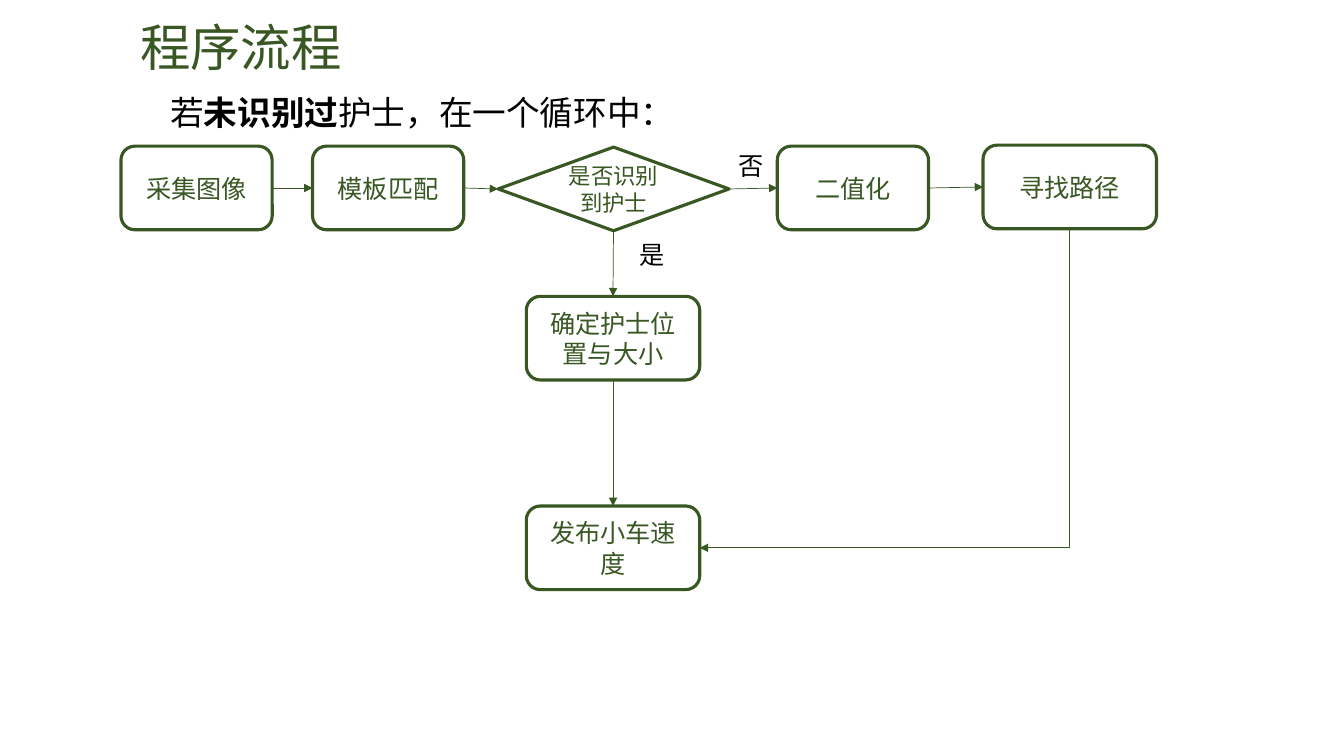
from dataclasses import dataclass

from lxml.etree import SubElement
from pptx import Presentation
from pptx.dml.color import RGBColor
from pptx.enum.shapes import MSO_CONNECTOR, MSO_SHAPE
from pptx.enum.text import MSO_ANCHOR, MSO_AUTO_SIZE, PP_ALIGN
from pptx.oxml.ns import qn
from pptx.shapes.autoshape import Shape
from pptx.shapes.connector import Connector
from pptx.slide import Slide
from pptx.text.text import _Paragraph
from pptx.util import Inches, Pt


@dataclass(frozen=True)
class Theme:
    font: str = "Noto Sans CJK SC"
    green: RGBColor = RGBColor(0x38, 0x57, 0x23)
    black: RGBColor = RGBColor(0, 0, 0)
    title: int = 36
    lead: int = 24
    body: int = 18
    small: int = 16
    edge: float = 2.25
    thin: float = 0.5


THEME = Theme()
TALL = 0.83
BOTTOM, LEFT, RIGHT, TOP = 2, 1, 3, 0


@dataclass(frozen=True)
class Step:
    key: str
    text: str
    left: float
    top: float
    width: float
    size: int = THEME.body
    form: MSO_SHAPE = MSO_SHAPE.ROUNDED_RECTANGLE


@dataclass(frozen=True)
class Link:
    start: str
    out: int
    end: str
    into: int


@dataclass(frozen=True)
class Run:
    text: str
    bold: bool = False


@dataclass(frozen=True)
class Label:
    runs: tuple[Run, ...]
    left: float
    top: float
    width: float
    height: float
    size: int = THEME.body
    color: RGBColor = THEME.black


STEPS = (
    Step("grab", "采集图像", 1.2, 1.45, 1.5),
    Step("match", "模板匹配", 3.1, 1.45, 1.5),
    Step("check", "是否识别到护士", 4.94, 1.46, 2.29, THEME.small,
         MSO_SHAPE.FLOWCHART_DECISION),
    Step("split", "二值化", 7.71, 1.45, 1.5),
    Step("route", "寻找路径", 9.75, 1.44, 1.72),
    Step("place", "确定护士位置与大小", 5.22, 2.94, 1.72),
    Step("speed", "发布小车速度", 5.22, 5.02, 1.72),
)
LINKS = (
    Link("grab", RIGHT, "match", LEFT),
    Link("match", RIGHT, "check", LEFT),
    Link("check", RIGHT, "split", LEFT),
    Link("split", RIGHT, "route", LEFT),
    Link("check", BOTTOM, "place", TOP),
    Link("place", BOTTOM, "speed", TOP),
)
LABELS = (
    Label((Run("程序流程"),), 1.29, 0.11, 2.22, 0.71, THEME.title, THEME.green),
    Label((Run("若"), Run("未识别过", True), Run("护士，在一个循环中：")),
          1.59, 0.86, 5.25, 0.5, THEME.lead),
    Label((Run("是"),), 6.24, 2.33, 0.45, 0.4),
    Label((Run("否"),), 7.23, 1.44, 0.45, 0.4),
)


def add_run(para: _Paragraph, part: Run, size: int, color: RGBColor) -> None:
    run = para.add_run()
    run.text = part.text
    font = run.font
    font.size, font.bold, font.name = Pt(size), part.bold, THEME.font
    font.color.rgb = color
    # East Asian typeface
    SubElement(run._r.get_or_add_rPr(), qn("a:ea"), typeface=THEME.font)


def add_step(slide: Slide, step: Step) -> Shape:
    box = slide.shapes.add_shape(step.form, Inches(step.left), Inches(step.top),
                                 Inches(step.width), Inches(TALL))
    box.shadow.inherit = False
    box.fill.background()
    box.line.color.rgb = THEME.green
    box.line.width = Pt(THEME.edge)
    frame = box.text_frame
    frame.word_wrap = True
    frame.vertical_anchor = MSO_ANCHOR.MIDDLE
    para = frame.paragraphs[0]
    para.alignment = PP_ALIGN.CENTER
    add_run(para, Run(step.text), step.size, THEME.green)
    return box


def add_label(slide: Slide, label: Label) -> None:
    box = slide.shapes.add_textbox(Inches(label.left), Inches(label.top),
                                   Inches(label.width), Inches(label.height))
    frame = box.text_frame
    frame.word_wrap = False
    frame.auto_size = MSO_AUTO_SIZE.SHAPE_TO_FIT_TEXT
    for part in label.runs:
        add_run(frame.paragraphs[0], part, label.size, label.color)


def style_line(line: Connector) -> None:
    line.line.color.rgb = THEME.green
    line.line.width = Pt(THEME.thin)
    SubElement(line.line._get_or_add_ln(), qn("a:tailEnd"), type="triangle")
    SubElement(line._element.spPr, qn("a:effectLst"))


def add_link(slide: Slide, link: Link, boxes: dict[str, Shape]) -> None:
    line = slide.shapes.add_connector(MSO_CONNECTOR.STRAIGHT, 0, 0, 0, 0)
    line.begin_connect(boxes[link.start], link.out)
    line.end_connect(boxes[link.end], link.into)
    style_line(line)


def add_bend(slide: Slide, start: Shape, end: Shape) -> None:
    """Run down from start, then left into the side of end."""
    x1, y1 = start.left + start.width // 2, start.top + start.height
    x2, y2 = end.left + end.width, end.top + end.height // 2
    # The frame is turned a quarter, so its width and height swap
    mid_x, mid_y = (x1 + x2) // 2, (y1 + y2) // 2
    half_w, half_h = (y2 - y1) // 2, (x1 - x2) // 2
    line = slide.shapes.add_connector(MSO_CONNECTOR.ELBOW,
                                      mid_x - half_w, mid_y - half_h,
                                      mid_x + half_w, mid_y + half_h)
    props = line._element.spPr
    props.find(qn("a:xfrm")).set("rot", "5400000")
    props.find(qn("a:prstGeom")).set("prst", "bentConnector2")
    style_line(line)


def main() -> None:
    deck = Presentation()
    deck.slide_width, deck.slide_height = Inches(13.33), Inches(7.5)
    slide = deck.slides.add_slide(deck.slide_layouts[6])

    # Flow steps
    boxes = {step.key: add_step(slide, step) for step in STEPS}

    # Arrows
    for link in LINKS:
        add_link(slide, link, boxes)
    add_bend(slide, boxes["route"], boxes["speed"])

    # Title, lead line and branch names
    for label in LABELS:
        add_label(slide, label)

    deck.save("out.pptx")


if __name__ == "__main__":
    main()
